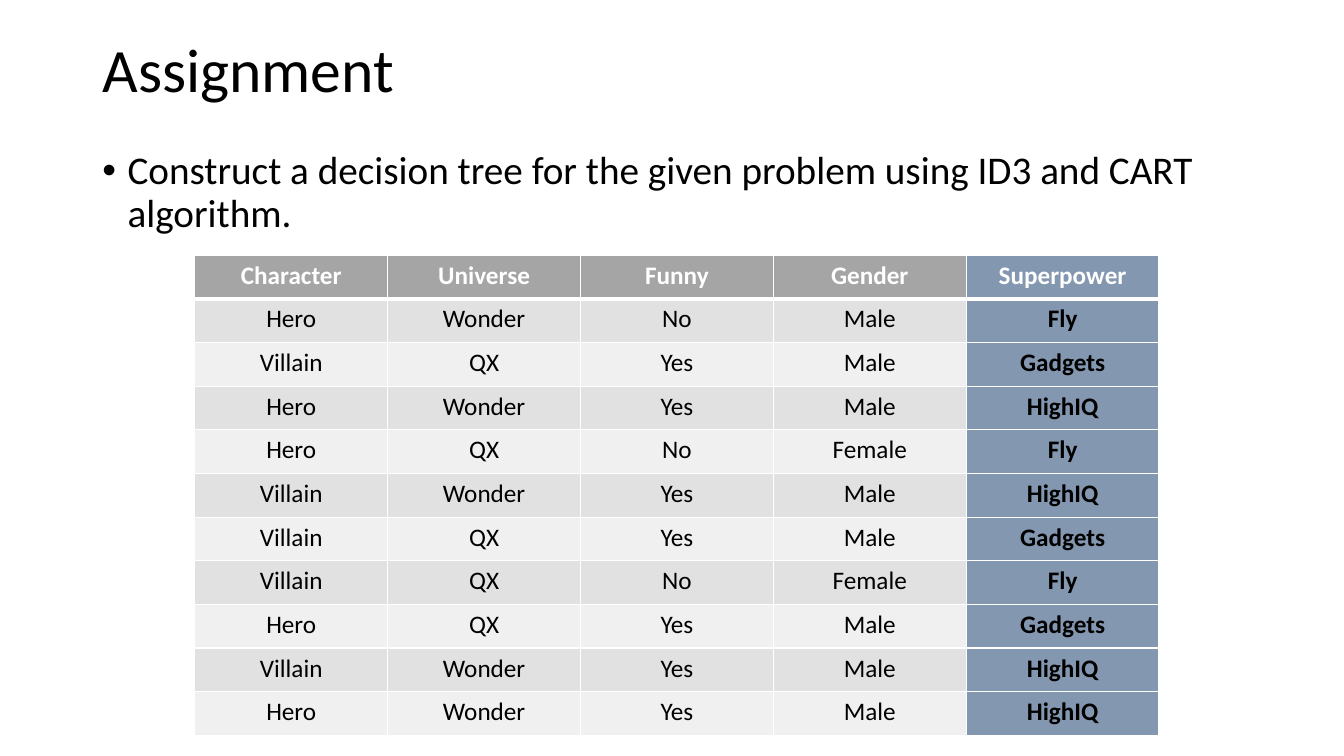
"""Builds the decision tree assignment slide with its training data table."""
from lxml import etree
from pptx import Presentation
from pptx.dml.color import RGBColor
from pptx.enum.text import MSO_ANCHOR, MSO_AUTO_SIZE, PP_ALIGN
from pptx.oxml.ns import qn
from pptx.util import Cm, Pt

LEFT, CENTER = PP_ALIGN.LEFT, PP_ALIGN.CENTER
TOP, MIDDLE = MSO_ANCHOR.TOP, MSO_ANCHOR.MIDDLE
NO_AUTOFIT = MSO_AUTO_SIZE.NONE
FONT = "Calibri"
BLACK = RGBColor(0x00, 0x00, 0x00)
WHITE = RGBColor(0xFF, 0xFF, 0xFF)
HEADER_GREY = RGBColor(0xA5, 0xA5, 0xA5)
BANDS = RGBColor(0xE1, 0xE1, 0xE1), RGBColor(0xF0, 0xF0, 0xF0)
TARGET_BLUE = RGBColor(0x84, 0x97, 0xB0)

RECORDS = [
    ("Character", "Universe", "Funny", "Gender", "Superpower"),
    ("Hero", "Wonder", "No", "Male", "Fly"),
    ("Villain", "QX", "Yes", "Male", "Gadgets"),
    ("Hero", "Wonder", "Yes", "Male", "HighIQ"),
    ("Hero", "QX", "No", "Female", "Fly"),
    ("Villain", "Wonder", "Yes", "Male", "HighIQ"),
    ("Villain", "QX", "Yes", "Male", "Gadgets"),
    ("Villain", "QX", "No", "Female", "Fly"),
    ("Hero", "QX", "Yes", "Male", "Gadgets"),
    ("Villain", "Wonder", "Yes", "Male", "HighIQ"),
    ("Hero", "Wonder", "Yes", "Male", "HighIQ"),
]
COLUMN_WIDTH, ROW_HEIGHT = Cm(4.86), Cm(1.1)


def add_text(paragraph, text, size, color, align=LEFT, bold=False):
    paragraph.alignment = align
    run = paragraph.add_run()
    run.text = text
    run.font.name = FONT
    run.font.size = Pt(size)
    run.font.bold = bold
    run.font.color.rgb = color


def add_border(cell, side, points):
    properties = cell._tc.get_or_add_tcPr()
    line = etree.SubElement(properties, qn(f"a:ln{side}"), w=str(Pt(points)))
    fill = etree.SubElement(line, qn("a:solidFill"))
    etree.SubElement(fill, qn("a:srgbClr"), val=str(WHITE))


prs = Presentation()
prs.slide_width, prs.slide_height = Cm(33.87), Cm(19.05)
slide = prs.slides.add_slide(prs.slide_layouts[5])

title = slide.shapes.title
title.left, title.top, title.width, title.height = Cm(2.33), Cm(0), Cm(29.21), Cm(3.68)
title.text_frame.auto_size = NO_AUTOFIT
title.text_frame.vertical_anchor = MIDDLE
heading = title.text_frame.paragraphs[0]
heading.line_spacing = 0.9
add_text(heading, "Assignment", 44, BLACK)

task = slide.shapes.add_textbox(Cm(2.33), Cm(3.68), Cm(29.21), Cm(12.09)).text_frame
task.word_wrap = True
task.auto_size = NO_AUTOFIT
task.vertical_anchor = TOP
instruction = task.paragraphs[0]
instruction.line_spacing = 0.9
instruction.space_before = Pt(10)
add_text(instruction, "Construct a decision tree for the given problem using ID3 and CART algorithm.",
         28, BLACK)
bullet = instruction._p.get_or_add_pPr()
bullet.set("marL", str(Pt(18)))
bullet.set("indent", str(-Pt(18)))
etree.SubElement(bullet, qn("a:buFont"), typeface="Arial")
etree.SubElement(bullet, qn("a:buChar"), char="•")

row_count, column_count = len(RECORDS), len(RECORDS[0])
training_data = slide.shapes.add_table(
    row_count, column_count, Cm(4.91), Cm(6.43),
    COLUMN_WIDTH * column_count, ROW_HEIGHT * row_count).table
for column in training_data.columns:
    column.width = COLUMN_WIDTH

for r, record in enumerate(RECORDS):
    training_data.rows[r].height = ROW_HEIGHT
    is_header = r == 0
    for c, value in enumerate(record):
        is_target = c == column_count - 1
        cell = training_data.cell(r, c)
        for side, points in (("L", 1), ("R", 1), ("T", 3 if r == 1 else 1),
                             ("B", 3 if is_header else 1)):
            add_border(cell, side, points)
        cell.fill.solid()
        if is_target:
            cell.fill.fore_color.rgb = TARGET_BLUE
        else:
            cell.fill.fore_color.rgb = HEADER_GREY if is_header else BANDS[(r - 1) % 2]
        add_text(cell.text_frame.paragraphs[0], value, 18,
                 WHITE if is_header else BLACK, CENTER, is_header or is_target)

prs.save("out.pptx")
